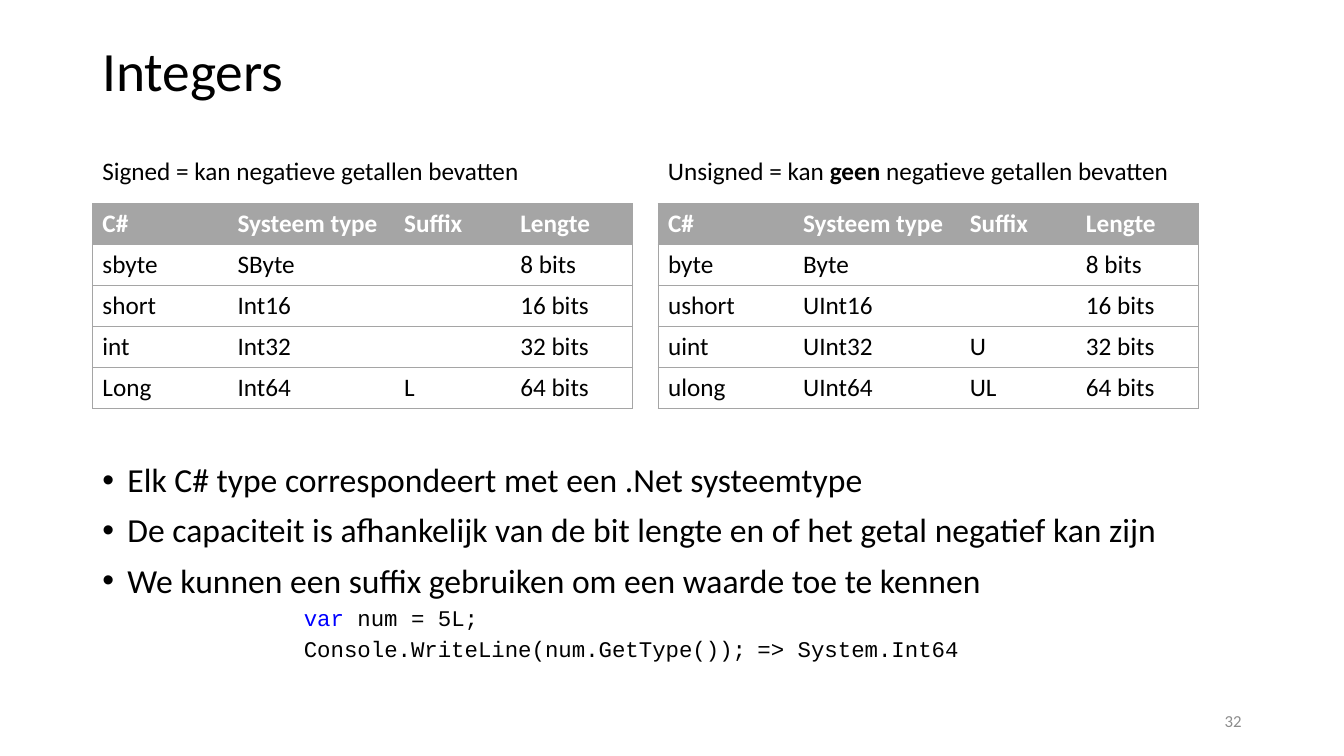
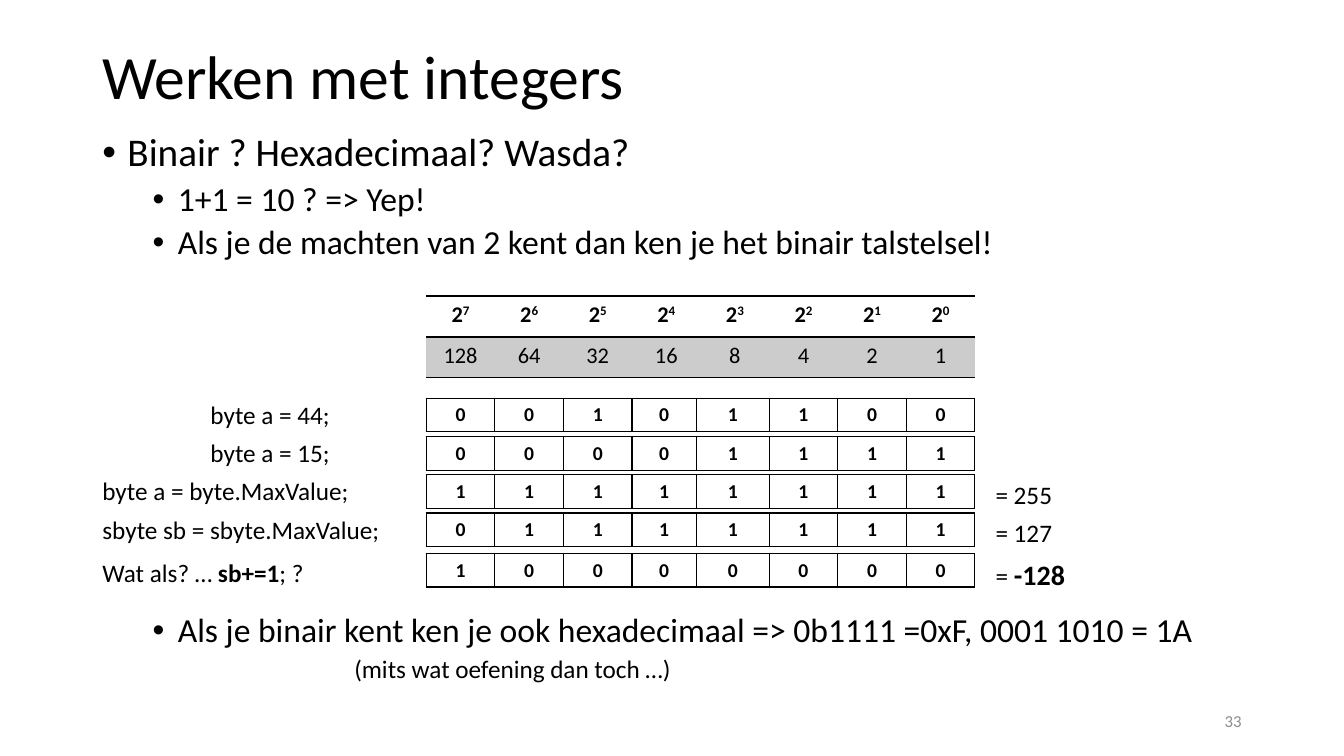
"""Build two lecture slides about integer types and binary numbers."""
from dataclasses import dataclass
from typing import Optional, Sequence

from lxml.etree import SubElement
from pptx import Presentation
from pptx.dml.color import RGBColor
from pptx.enum.text import MSO_ANCHOR, PP_ALIGN
from pptx.oxml.ns import qn
from pptx.presentation import Presentation as Deck
from pptx.slide import Slide
from pptx.table import _Cell as Cell
from pptx.util import Pt

COLOURS = {
    "text": "000000",
    "paper": "FFFFFF",
    "grid": "A5A5A5",
    "weight": "CCCCCC",
    "keyword": "0000FF",
    "number": "8C8C8C",
}
FONT = "Calibri"
CODE_FONT = "Courier New"
MARGIN = 66
CONTENT_WIDTH = 828
LABEL_HEIGHT = 29
BITS_LEFT = 304.5
BIT_WIDTH = 49
SIDES = {"L": "a:lnL", "R": "a:lnR", "T": "a:lnT", "B": "a:lnB"}


@dataclass(frozen=True)
class Span:
    text: str
    size: float = 18
    bold: bool = False
    colour: str = "text"
    font: str = FONT
    raised: bool = False


@dataclass(frozen=True)
class Para:
    spans: Sequence[Span]
    before: float = 0
    spacing: float = 1.0
    indent: float = 0
    bullet: bool = False
    align: PP_ALIGN = PP_ALIGN.LEFT


@dataclass(frozen=True)
class Area:
    left: float
    top: float
    width: float
    height: float


@dataclass(frozen=True)
class CellLook:
    sides: str
    line: str
    weight: float
    fill: Optional[str] = None


@dataclass(frozen=True)
class TypeTable:
    left: float
    caption: Sequence[Span]
    rows: Sequence[Sequence[str]]


@dataclass(frozen=True)
class BitRow:
    top: float
    bits: str
    label_left: float
    label_top: float
    label: Sequence[Span]
    result_top: float = 0
    result: Sequence[Span] = ()


def colour(name: str) -> RGBColor:
    return RGBColor.from_string(COLOURS[name])


def fill_paras(frame, paras: Sequence[Para]) -> None:
    for index, item in enumerate(paras):
        para = frame.add_paragraph() if index else frame.paragraphs[0]
        properties = para._p.get_or_add_pPr()
        if item.indent:
            properties.set("marL", str(Pt(item.indent)))
            properties.set("indent", str(Pt(-18 if item.bullet else 0)))
        if item.bullet:
            SubElement(properties, qn("a:buFont"), typeface="Arial")
            SubElement(properties, qn("a:buChar"), char="•")
        para.alignment = item.align
        para.line_spacing = item.spacing
        para.space_before = Pt(item.before)
        for part in item.spans:
            span = para.add_run()
            span.text = part.text
            span.font.name = part.font
            span.font.size = Pt(part.size)
            span.font.bold = part.bold
            span.font.color.rgb = colour(part.colour)
            if part.raised:
                span._r.get_or_add_rPr().set("baseline", "30000")


def add_text(page: Slide, area: Area, paras: Sequence[Para],
             anchor: MSO_ANCHOR = MSO_ANCHOR.TOP) -> None:
    box = page.shapes.add_textbox(Pt(area.left), Pt(area.top), Pt(area.width), Pt(area.height))
    box.text_frame.word_wrap = True
    box.text_frame.vertical_anchor = anchor
    fill_paras(box.text_frame, paras)


def add_label(page: Slide, left: float, top: float, width: float, spans: Sequence[Span]) -> None:
    add_text(page, Area(left, top, width, LABEL_HEIGHT), [Para(spans)])


def add_page(deck: Deck, title: str, size: float, height: float, number: int) -> Slide:
    page = deck.slides.add_slide(deck.slide_layouts[6])
    add_text(page, Area(MARGIN, 29, CONTENT_WIDTH, height),
             [Para([Span(title, size)], spacing=0.9)], MSO_ANCHOR.MIDDLE)
    add_text(page, Area(678, 500.5, 216, LABEL_HEIGHT),
             [Para([Span(str(number), 12, colour="number")], align=PP_ALIGN.RIGHT)],
             MSO_ANCHOR.MIDDLE)
    return page


def style_cell(cell: Cell, look: CellLook) -> None:
    properties = cell._tc.get_or_add_tcPr()
    for side, tag in SIDES.items():
        line = SubElement(properties, qn(tag), w=str(Pt(look.weight)))
        if side in look.sides:
            solid = SubElement(line, qn("a:solidFill"))
            SubElement(solid, qn("a:srgbClr"), val=COLOURS[look.line])
        else:
            SubElement(line, qn("a:noFill"))
    if look.fill:
        cell.fill.solid()
        cell.fill.fore_color.rgb = colour(look.fill)
    else:
        cell.fill.background()


def add_grid(page: Slide, left: float, top: float, widths: Sequence[float], row_height: float,
             rows: Sequence[Sequence[Para]], looks: Sequence[Sequence[CellLook]]) -> None:
    frame = page.shapes.add_table(len(rows), len(widths), Pt(left), Pt(top),
                                  Pt(sum(widths)), Pt(row_height * len(rows)))
    table = frame.table
    table.first_row = table.horz_banding = False
    for column, width in zip(table.columns, widths):
        column.width = Pt(width)
    for row_index, row in enumerate(rows):
        table.rows[row_index].height = Pt(row_height)
        for column_index, para in enumerate(row):
            cell = table.cell(row_index, column_index)
            style_cell(cell, looks[row_index][column_index])
            fill_paras(cell.text_frame, [para])


def add_type_table(page: Slide, item: TypeTable) -> None:
    add_label(page, item.left, 107.5, 374, item.caption)
    header = ("C#", "Systeem type", "Suffix", "Lengte")
    rows = [[Para([Span(text, bold=True, colour="paper")]) for text in header]]
    rows += [[Para([Span(text)] if text else []) for text in row] for row in item.rows]
    edges = ("LTB", "TB", "TB", "TBR")
    looks = [[CellLook(sides, "grid", 0.5, None if index else "grid") for sides in edges]
             for index in range(len(rows))]
    add_grid(page, item.left, 145.5, (96.5, 119, 83, 87.5), 29.2, rows, looks)


def centred(*spans: Span) -> Para:
    return Para(spans, align=PP_ALIGN.CENTER)


def add_powers(page: Slide) -> None:
    powers = range(7, -1, -1)
    rows = [
        [centred(Span("2", 16, True), Span(str(power), 16, True, raised=True)) for power in powers],
        [centred(Span(str(2 ** power), 16)) for power in powers],
    ]
    looks = [[CellLook("TB", "text", 1, fill)] * 8 for fill in (None, "weight")]
    add_grid(page, BITS_LEFT, 211.5, [BIT_WIDTH] * 8, 29.2, rows, looks)


def add_bit_row(page: Slide, row: BitRow) -> None:
    widths = [BIT_WIDTH] * 3 + [BIT_WIDTH - 3, BIT_WIDTH + 3] + [BIT_WIDTH] * 3
    paras = [centred(Span(bit, 14, True)) for bit in row.bits]
    add_grid(page, BITS_LEFT, row.top, widths, 24, [paras], [[CellLook("LRTB", "text", 1)] * 8])
    add_label(page, row.label_left, row.label_top, 289.5 - row.label_left, row.label)
    if row.result:
        add_label(page, 704, row.result_top, 82, row.result)


def bullet(text: str, size: float = 24, indent: float = 18, before: float = 10) -> Para:
    return Para([Span(text, size)], before, 0.9, indent, True)


def code(*parts: tuple[str, str]) -> Para:
    return Para([Span(text, 16, colour=name, font=CODE_FONT) for text, name in parts], 5, 0.9, 144)


def build_types(deck: Deck) -> None:
    page = add_page(deck, "Integers", 39.6, 47, 32)
    tables = (
        TypeTable(MARGIN, [Span("Signed = kan negatieve getallen bevatten")], (
            ("sbyte", "SByte", "", "8 bits"),
            ("short", "Int16", "", "16 bits"),
            ("int", "Int32", "", "32 bits"),
            ("Long", "Int64", "L", "64 bits"),
        )),
        TypeTable(470, [Span("Unsigned = kan "), Span("geen", bold=True),
                        Span(" negatieve getallen bevatten")], (
            ("byte", "Byte", "", "8 bits"),
            ("ushort", "UInt16", "", "16 bits"),
            ("uint", "UInt32", "U", "32 bits"),
            ("ulong", "UInt64", "UL", "64 bits"),
        )),
    )
    for item in tables:
        add_type_table(page, item)
    add_text(page, Area(MARGIN, 327.5, CONTENT_WIDTH, 168), [
        bullet("Elk C# type correspondeert met een .Net systeemtype", before=0),
        bullet("De capaciteit is afhankelijk van de bit lengte en of het getal negatief kan zijn"),
        bullet("We kunnen een suffix gebruiken om een waarde toe te kennen"),
        code(("var ", "keyword"), ("num = 5L;", "text")),
        code(("Console.WriteLine(num.GetType());\t=> System.Int64", "text")),
    ])


def build_binary(deck: Deck) -> None:
    page = add_page(deck, "Werken met integers", 44, 56, 33)
    add_text(page, Area(MARGIN, 91.5, CONTENT_WIDTH, 105), [
        bullet("Binair ? Hexadecimaal? Wasda?", 28, before=0),
        bullet("1+1 = 10 ? => Yep!", indent=54, before=5),
        bullet("Als je de machten van 2 kent dan ken je het binair talstelsel!", indent=54, before=5),
    ])
    add_powers(page)
    rows = (
        BitRow(284.4, "00101100", 143.3, 281.5, [Span("byte a = 44;")]),
        BitRow(311.8, "00001111", 143.3, 308.9, [Span("byte a = 15;")]),
        BitRow(339.1, "11111111", MARGIN, 336.2, [Span("byte a = byte.MaxValue;")],
               339.1, [Span("= 255")]),
        BitRow(366.5, "01111111", MARGIN, 363.6, [Span("sbyte sb = sbyte.MaxValue;")],
               365.8, [Span("= 127")]),
        BitRow(395.3, "10000000", MARGIN, 394.6,
               [Span("Wat als? … "), Span("sb+=1", bold=True), Span("; ?")],
               394.6, [Span("= "), Span("-128", 20, True)]),
    )
    for row in rows:
        add_bit_row(page, row)
    add_text(page, Area(MARGIN, 435, CONTENT_WIDTH, 66), [
        bullet("Als je binair kent ken je ook hexadecimaal => 0b1111 =0xF, 0001 1010 = 1A",
               indent=54, before=0),
        Para([Span("(mits wat oefening dan toch …)")], 5, 0.9, 180),
    ])


def main() -> None:
    deck = Presentation()
    deck.slide_width, deck.slide_height = Pt(960), Pt(540)
    build_types(deck)
    build_binary(deck)
    deck.save("out.pptx")


if __name__ == "__main__":
    main()
